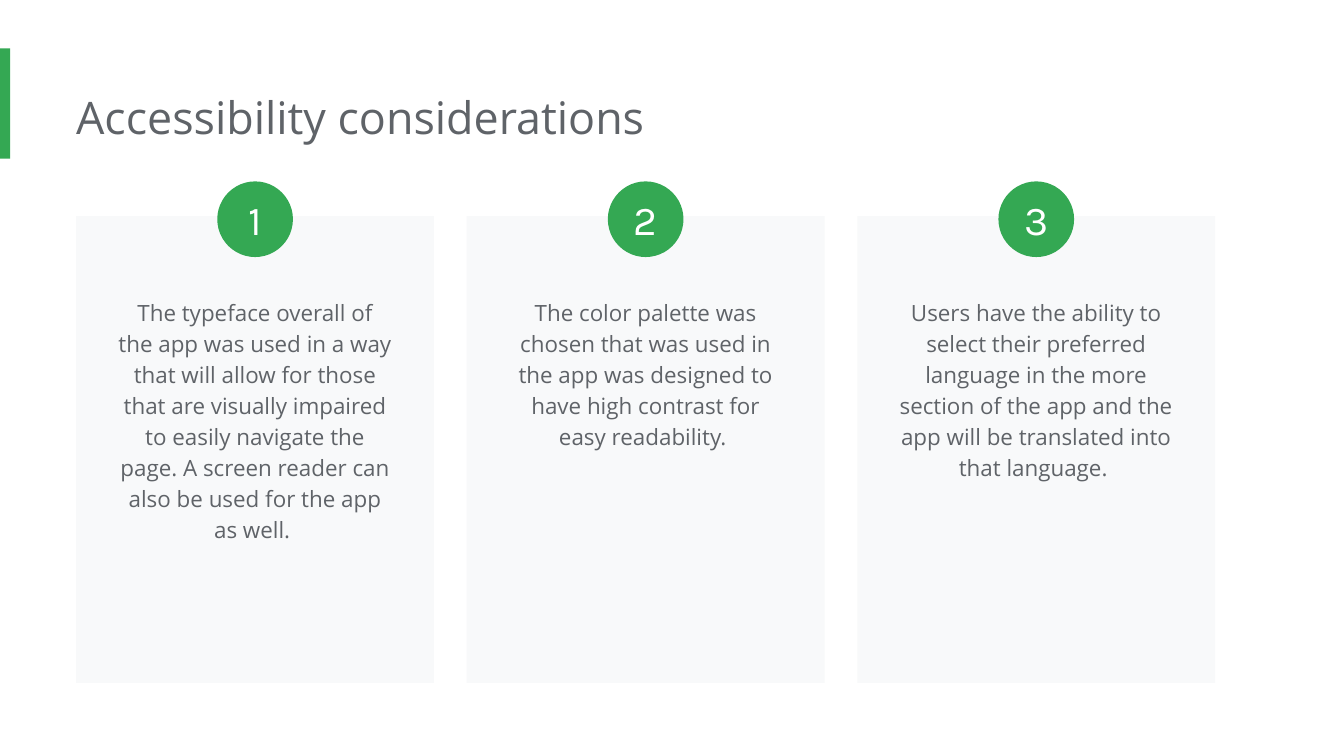
"""Build the accessibility considerations slide with three numbered cards."""
import pptx
import pptx.dml.color
import pptx.enum.shapes
import pptx.enum.text
import pptx.util

HUES = {"green": "34A853", "card": "F8F9FA", "gray": "5F6368", "white": "FFFFFF"}
KIND = pptx.enum.shapes.MSO_SHAPE
FIT = pptx.enum.text.MSO_AUTO_SIZE.SHAPE_TO_FIT_TEXT
MID = pptx.enum.text.PP_ALIGN.CENTER
PAD = pptx.util.Inches(0.1)

deck = pptx.Presentation()
deck.slide_width = pptx.util.Inches(10)
deck.slide_height = deck.slide_width * 9 // 16
slide = deck.slides.add_slide(deck.slide_layouts[6])
col = deck.slide_width / 100
row = deck.slide_height / 100

SIDES = ("margin_left", "margin_top", "margin_right", "margin_bottom")
FORMS = {
    "title": {
        "frame": dict(zip(SIDES, (0, PAD, PAD, PAD)), word_wrap=True, auto_size=FIT),
        "para": {},
        "font": {"name": "Open Sans", "size": pptx.util.Pt(24)},
        "hue": "gray",
    },
    "body": {
        "frame": dict.fromkeys(SIDES, PAD) | {"word_wrap": True, "auto_size": FIT},
        "para": {"alignment": MID, "line_spacing": 1.15},
        "font": {"name": "Open Sans", "size": pptx.util.Pt(12)},
        "hue": "gray",
    },
    "badge": {
        "frame": dict.fromkeys(SIDES, 0)
        | {"word_wrap": True, "vertical_anchor": pptx.enum.text.MSO_ANCHOR.MIDDLE},
        "para": {"alignment": MID},
        "font": {"name": "Karla", "size": pptx.util.Pt(22)},
        "hue": "white",
    },
}


def draw(kind, left, top, wide, high, hue):
    shape = slide.shapes.add_shape(kind, int(left), int(top), int(wide), int(high))
    shape.shadow.inherit = False
    shape.fill.solid()
    shape.fill.fore_color.rgb = pptx.dml.color.RGBColor.from_string(HUES[hue])
    shape.line.fill.background()
    return shape


def write(shape, text, form):
    frame = shape.text_frame
    para = frame.paragraphs[0]
    run = para.add_run()
    run.text = text
    style = FORMS[form]
    for part, item in (("frame", frame), ("para", para), ("font", run.font)):
        for name, value in style[part].items():
            setattr(item, name, value)
    run.font.color.rgb = pptx.dml.color.RGBColor.from_string(HUES[style["hue"]])


draw(KIND.RECTANGLE, 0, 6.4 * row, 0.75 * col, 14.6 * row, "green")
title = slide.shapes.add_textbox(
    int(5.67 * col), int(10.15 * row), int(76.6 * col), int(10.9 * row))
write(title, "Accessibility considerations", "title")

CARDS = (
    ("The typeface overall of the app was used in a way that will allow for those "
     "that are visually impaired to easily navigate the page. A screen reader can "
     "also be used for the app as well. ", 36.6),
    ("The color palette was chosen that was used in the app was designed to have "
     "high contrast for easy readability. ", 24.2),
    ("Users have the ability to select their preferred language in the more section "
     "of the app and the app will be translated into that language. ", 28.4),
)
wide, inner, disc = 26.63 * col, 22.4 * col, 5.63 * col
step = 29.06 * col
tops = []

for spot, (text, high) in enumerate(CARDS):
    left = 5.67 * col + spot * step
    draw(KIND.RECTANGLE, left, 28.6 * row, wide, 61.75 * row, "card")
    body = slide.shapes.add_textbox(
        int(left + (wide - inner) / 2), int(37.3 * row), int(inner), int(high * row))
    write(body, text, "body")
    tops.append(left + (wide - disc) / 2)

for spot, left in enumerate(tops, 1):
    badge = draw(KIND.OVAL, left, 24 * row, disc, disc, "green")
    write(badge, str(spot), "badge")

deck.save("out.pptx")
